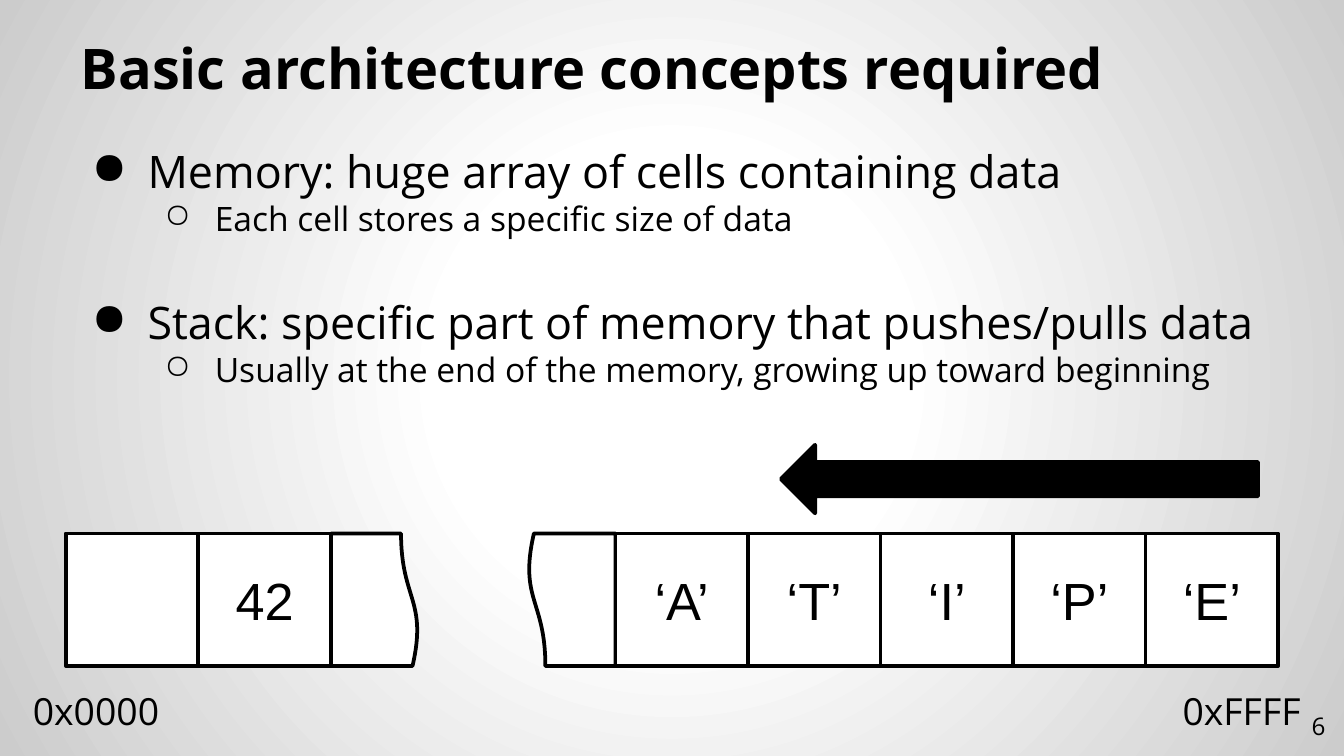
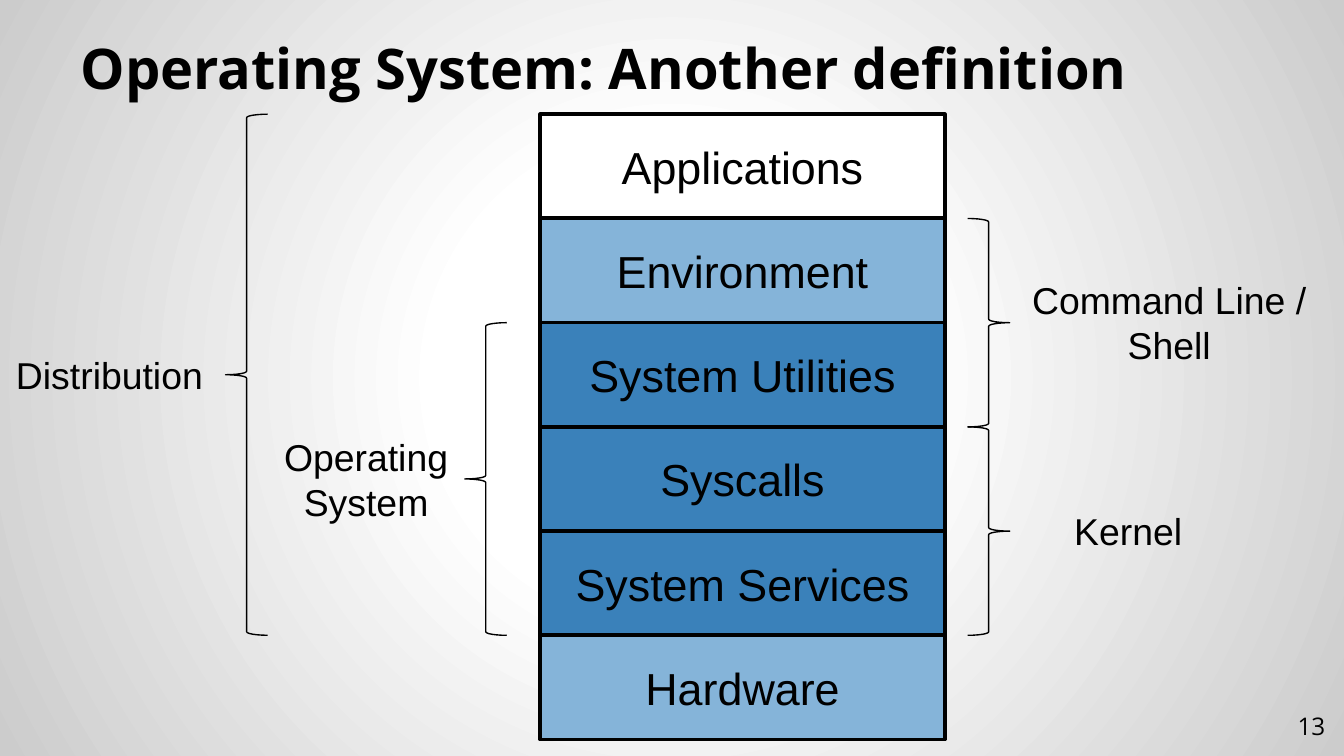
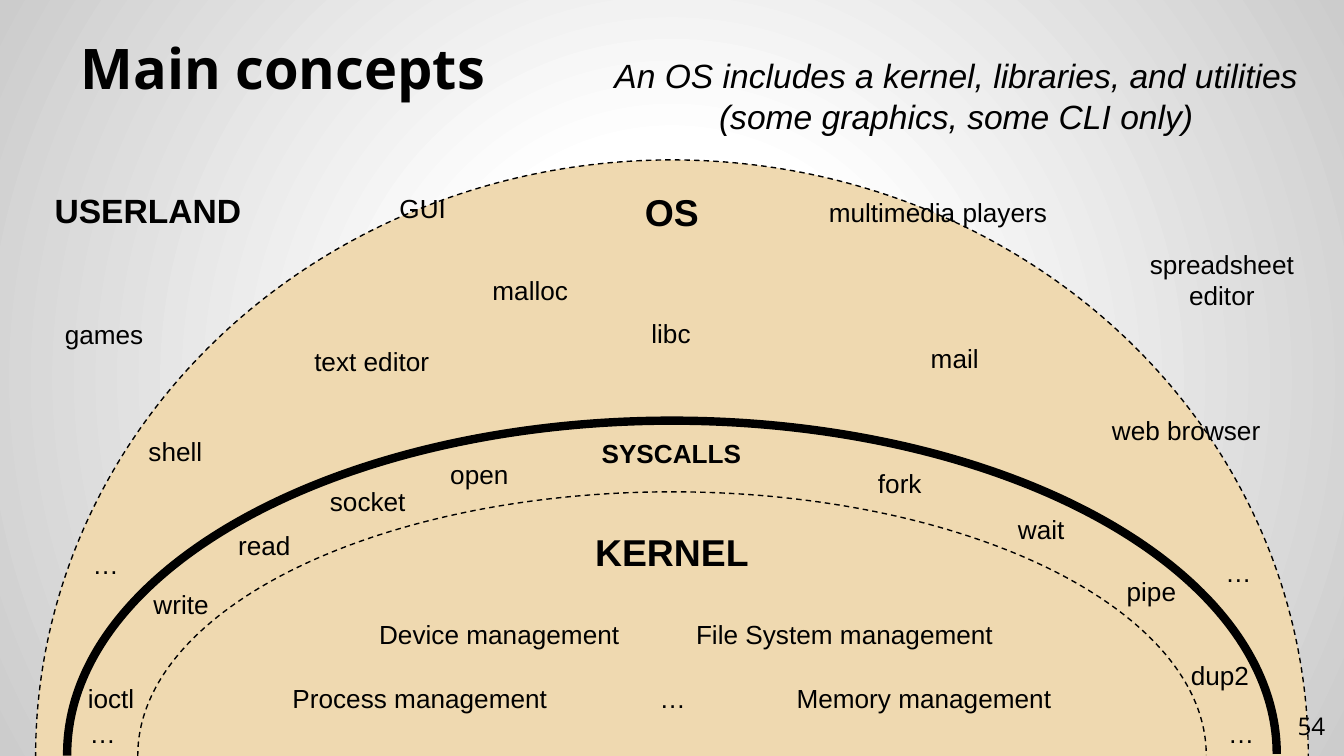
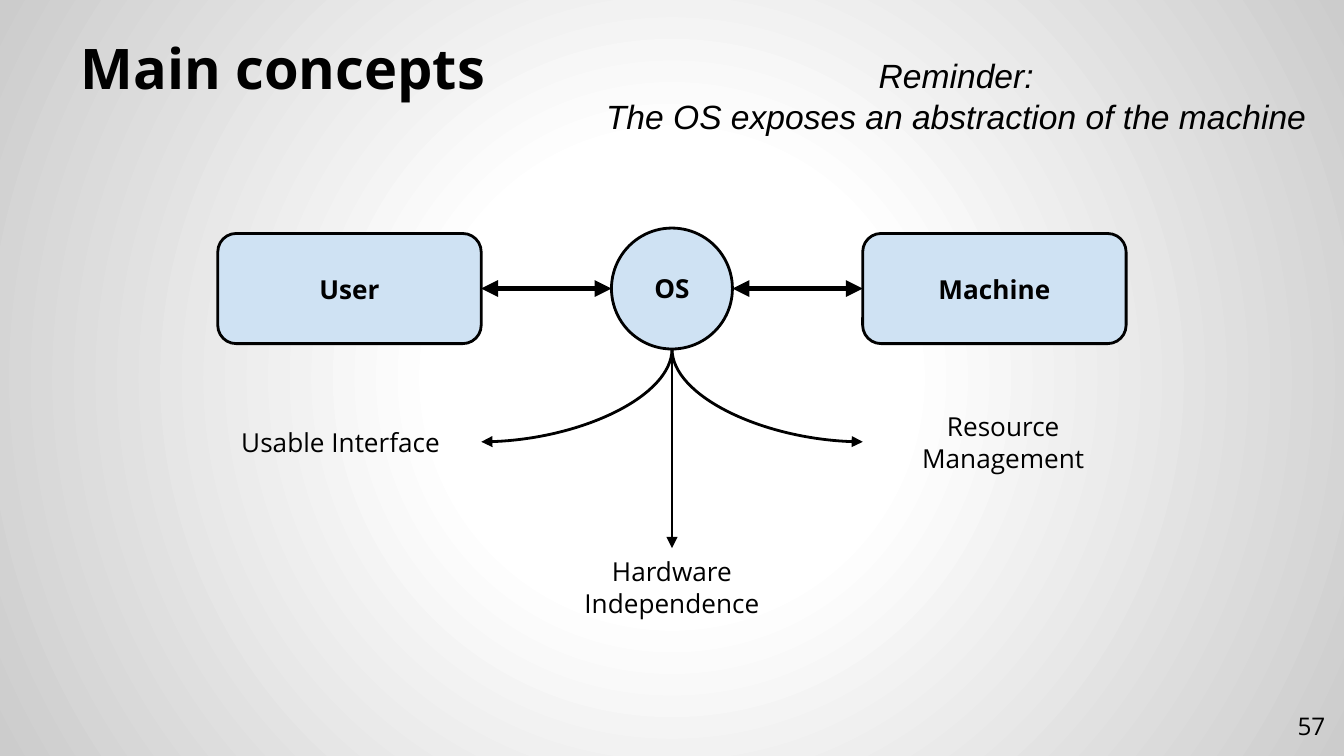
from dataclasses import dataclass

from pptx import Presentation
from pptx import util as u
from pptx.dml.color import RGBColor
from pptx.enum import dml, shapes, text
from pptx.oxml import ns, parse_xml

Pt = u.Pt
KIND = shapes.MSO_SHAPE
LINK = shapes.MSO_CONNECTOR
ALIGN = text.PP_ALIGN
ANCHOR = text.MSO_ANCHOR


@dataclass(frozen=True)
class Theme:
    # Colours
    ink: str = "000000"
    paper: str = "FFFFFF"
    edge: str = "CCCCCC"
    pale: str = "85B4D9"
    deep: str = "3A81BA"
    sand: str = "EFD9B0"
    sky: str = "CFE2F3"
    # Fonts
    sans: str = "Open Sans"
    plain: str = "Arial"
    # Type sizes
    title: float = 30
    cell: float = 28
    lead: float = 24
    label: float = 20
    note: float = 18
    small: float = 14
    page: float = 13
    # Line widths
    hair: float = 0.75
    thin: float = 1.5
    line: float = 2
    bold: float = 3
    wall: float = 4.5


T = Theme()


@dataclass(frozen=True)
class Box:
    x: float
    y: float
    w: float
    h: float

    def sub(self, dx, dy, w, h):
        return Box(self.x + dx, self.y + dy, w, h)

    def turn(self):
        """Frame that fills this box after a quarter turn."""
        return Box(self.x + (self.w - self.h) / 2,
                   self.y + (self.h - self.w) / 2, self.h, self.w)

    def pts(self):
        return [Pt(v) for v in (self.x, self.y, self.w, self.h)]


PAGE = Box(0, 0, 720, 405)


# ---- Shared helpers ----

def write(shape, words, size=T.small, font=T.plain, bold=False, italic=False,
          align=ALIGN.CENTER, anchor=ANCHOR.TOP, pad=3.6):
    """Fill a shape with text, one paragraph per line."""
    frame = shape.text_frame
    frame.word_wrap = True
    frame.auto_size = text.MSO_AUTO_SIZE.NONE
    frame.vertical_anchor = anchor
    frame.margin_left = frame.margin_right = Pt(7.2)
    frame.margin_top = frame.margin_bottom = Pt(pad)
    for i, line in enumerate(words.split("\n")):
        para = frame.paragraphs[0] if i == 0 else frame.add_paragraph()
        para.alignment = align
        run = para.add_run()
        run.text = line
        style(run.font, size, font, bold, italic)
    return shape


def style(face, size, font, bold=False, italic=False):
    face.size, face.name = Pt(size), font
    face.bold, face.italic = bold, italic
    face.color.rgb = RGBColor.from_string(T.ink)


def label(sld, box, words, **fmt):
    return write(sld.shapes.add_textbox(*box.pts()), words, **fmt)


def draw(sld, kind, box, fill=None, width=T.line, turn=0, dash=False):
    shape = sld.shapes.add_shape(kind, *box.pts())
    shape.shadow.inherit = False
    shape.rotation = turn
    if fill:
        shape.fill.solid()
        shape.fill.fore_color.rgb = RGBColor.from_string(fill)
    else:
        shape.fill.background()
    stroke(shape.line, width)
    if dash:
        shape.line.dash_style = dml.MSO_LINE.DASH
    return shape


def stroke(line, width):
    line.width = Pt(width)
    line.fill.solid()
    line.fill.fore_color.rgb = RGBColor.from_string(T.ink)


def link(sld, start, end, width=T.thin, both=False, kind=LINK.STRAIGHT):
    """Connector with an arrowhead at its end, or at both ends."""
    wire = sld.shapes.add_connector(kind, *[Pt(v) for v in (*start, *end)])
    stroke(wire.line, width)
    ln = wire.line._get_or_add_ln()
    for tag in ("headEnd", "tailEnd") if both else ("tailEnd",):
        ln.append(parse_xml(f'<a:{tag} {ns.nsdecls("a")} type="triangle"/>'))
    wire._element.spPr.append(parse_xml(f'<a:effectLst {ns.nsdecls("a")}/>'))
    return wire


def bend(sld, start, end):
    """Curved arrow that leaves downward and arrives sideways."""
    wire = link(sld, start, end, kind=LINK.CURVE)
    (x1, y1), (x2, y2) = start, end
    left = x2 < x1
    box = Box(min(x1, x2), y1, abs(x2 - x1), y2 - y1).turn()
    wire.left, wire.top, wire.width, wire.height = box.pts()
    props = wire._element.spPr
    props.find(ns.qn("a:prstGeom")).set("prst", "curvedConnector2")
    frame = props.find(ns.qn("a:xfrm"))
    frame.set("rot", str((90 if left else 270) * 60000))
    frame.set("flipH", "0" if left else "1")


def backdrop(master):
    """Radial grey background for every slide."""
    master.background.fill.solid()
    holder = master.element.find(".//" + ns.qn("p:bgPr"))
    stops = "".join(
        f'<a:gs pos="{at * 1000}"><a:srgbClr val="{tone}"/></a:gs>'
        for at, tone in ((0, T.paper), (30, T.paper), (100, T.edge)))
    holder.replace(holder[0], parse_xml(
        f'<a:gradFill {ns.nsdecls("a")}><a:gsLst>{stops}</a:gsLst>'
        '<a:path path="circle"><a:fillToRect l="50000" t="50000" r="50000" '
        'b="50000"/></a:path></a:gradFill>'))


def start(prs, title):
    sld = prs.slides.add_slide(prs.slide_layouts[5])
    head = sld.shapes.title
    head.left, head.top, head.width, head.height = Box(36, 16.4, 648, 45).pts()
    write(head, title, size=T.title, font=T.sans, bold=True,
          align=ALIGN.LEFT, anchor=ANCHOR.BOTTOM, pad=7.2)
    return sld


def number(sld, page):
    label(sld, Box(673.9, 373.4, 43.2, 31), str(page), size=T.page,
          font=T.sans, align=ALIGN.RIGHT, anchor=ANCHOR.MIDDLE, pad=7.2)


def remark(sld, words):
    label(sld, Box(317.5, 26, 389.5, 51), words, size=T.note, italic=True)


# ---- Memory and stack ----

def points(sld, box, items):
    """Two-level bullet list: (level, text) pairs."""
    shape = label(sld, box, "\n".join(words for _, words in items),
                  font=T.sans, align=ALIGN.LEFT, pad=7.2)
    looks = ((36, -30, "●", T.lead), (72, -27, "○", T.note))
    for i, (level, _) in enumerate(items):
        para = shape.text_frame.paragraphs[i]
        left, hang, mark, size = looks[level]
        props = para._p.get_or_add_pPr()
        props.set("marL", str(Pt(left)))
        props.set("indent", str(Pt(hang)))
        props.append(parse_xml(
            f'<a:buChar {ns.nsdecls("a")} char="{mark}"/>'))
        para.level = level
        para.runs[0].font.size = Pt(size)
        if i and level == 0:
            para.space_before = Pt(30.5)


def memory(sld, box):
    """Row of cells torn in the middle, with addresses and growth arrow."""
    side, tear = box.h, 46.8
    low, high = ("", "42"), ("‘A’", "‘T’", "‘I’", "‘P’", "‘E’")
    right = box.w - len(high) * side
    # Torn ends
    for dx, turn in ((len(low) * side, 270), (right - tear, 90)):
        draw(sld, KIND.FLOWCHART_DOCUMENT, box.sub(dx, 0, tear, side).turn(),
             T.paper, turn=turn)
    # Whole cells
    for first, row in ((0, low), (right, high)):
        for i, words in enumerate(row):
            cell = draw(sld, KIND.RECTANGLE,
                        box.sub(first + i * side, 0, side, side), T.paper)
            if words:
                write(cell, words, size=T.cell, anchor=ANCHOR.MIDDLE)
    # Addresses
    for dx, words in ((-35.3, "0x0000"), (box.w - side, "0xFFFF")):
        label(sld, box.sub(dx, 79.2, 103, 31.5), words, size=T.label,
              font=T.sans)
    # Growth of the stack
    draw(sld, KIND.RIGHT_ARROW, box.sub(383, -47.5, 255.6, 36.7), T.ink,
         turn=180)


# ---- System layers ----

def layers(sld, box):
    rows = (("Applications", T.paper), ("Environment", T.pale),
            ("System Utilities", T.deep), ("Syscalls", T.deep),
            ("System Services", T.deep), ("Hardware", T.pale))
    step = box.h / len(rows)
    for i, (words, fill) in enumerate(rows):
        bar = draw(sld, KIND.RECTANGLE, box.sub(0, i * step, box.w, step), fill)
        write(bar, words, size=T.lead, anchor=ANCHOR.MIDDLE)
    # Braces: text, first row, end row, brace x, turn, text x, width, height
    spans = (("Distribution", 0, 5, -168.5, 0, -288.7, 116, 31.5),
             ("Operating System", 2, 5, -40.4, 0, -151.2, 116, 55.4),
             ("Command Line / Shell", 1, 3, 229, 180, 252, 170, 55.4),
             ("Kernel", 3, 5, 229, 180, 264.3, 101.5, 31.5))
    for words, top, end, dx, turn, tx, wide, high in spans:
        draw(sld, KIND.LEFT_BRACE,
             box.sub(dx, top * step, 22.5, (end - top) * step),
             width=T.hair, turn=turn)
        mid = (top + end) * step / 2
        label(sld, box.sub(tx, mid - high / 2, wide, high), words,
              size=T.label)


# ---- Userland, syscalls and kernel ----

def dome(sld, box):
    # Half rings around the middle of the bottom edge
    rings = ((681.8, 638.6, 85.7, T.sand, T.hair, True),
             (572.4, 282.2, 263.5, None, T.hair, True),
             (648, 357.1, 225.4, None, T.wall, False))
    for wide, high, top, fill, width, dash in rings:
        arc = draw(sld, KIND.ARC,
                   box.sub((box.w - wide) / 2, top, wide, high), fill, width,
                   dash=dash)
        arc.adjustments[0], arc.adjustments[1] = 107.91, 0
    # Zone names: text, x, y, width, size
    zones = (("USERLAND", 0.7, 98, 157, T.note), ("OS", 267.5, 98, 185, T.label),
             ("SYSCALLS", 272.5, 231, 174.5, T.small),
             ("KERNEL", 267.5, 280, 185, T.label))
    for words, dx, dy, wide, size in zones:
        label(sld, box.sub(dx, dy, wide, size * 1.2 + 7.5), words, size=size,
              bold=True)
    # Terms by box width: text, x, y
    terms = {
        185: (("Process management", 132.5, 362),
              ("Memory management", 402.5, 362),
              ("File System management", 360, 328),
              ("Device management", 175, 328)),
        137: (("multimedia players", 434, 101.5),),
        119: (("shell", 34.5, 229.7), ("GUI", 167, 99.4),
              ("libc", 300, 166.3), ("mail", 452, 180),
              ("text editor", 139.7, 181.4), ("web browser", 576, 218.2),
              ("malloc", 224.6, 143.3)),
        104: (("spreadsheet editor", 602.6, 129.6),),
        77: (("games", 17.3, 167),),
        60: (("open", 226.8, 242), ("socket", 167, 256.3),
             ("read", 111.6, 280), ("write", 67, 311.8),
             ("ioctl", 29.5, 362), ("fork", 452, 247),
             ("wait", 527.8, 271.4), ("pipe", 586.8, 304.6),
             ("dup2", 623.5, 350)),
        44: (("…", 338.4, 362), ("…", 33, 381), ("…", 643, 381),
             ("…", 34.6, 290.2), ("…", 641.5, 294.5)),
    }
    for wide, group in terms.items():
        for words, dx, dy in group:
            high = 41 if words == "spreadsheet editor" else 24.5
            label(sld, box.sub(dx, dy, wide, high), words)


# ---- The OS between user and machine ----

def hub(sld, box):
    wide, high, disc = 141.1, 59, 64.8
    mid, gap = box.w / 2, (disc - high) / 2
    fmt = dict(font=T.sans, anchor=ANCHOR.MIDDLE, pad=7.2)
    # Nodes
    nodes = [("User", KIND.ROUNDED_RECTANGLE, 0, gap, wide, high),
             ("OS", KIND.OVAL, mid - disc / 2, 0, disc, disc),
             ("Machine", KIND.ROUNDED_RECTANGLE, box.w - wide, gap, wide, high)]
    user, _, host = [
        write(draw(sld, kind, box.sub(*spot), T.sky, T.thin), words,
              bold=True, **fmt)
        for words, kind, *spot in nodes]
    # Two-way links
    cx, cy = box.x + mid, box.y + disc / 2
    left, right = box.x + wide, box.x + box.w - wide
    link(sld, (left, cy), (cx - disc / 2, cy), T.bold,
         both=True).begin_connect(user, 3)
    link(sld, (cx + disc / 2, cy), (right, cy), T.bold,
         both=True).end_connect(host, 1)
    # Roles
    tw, th, dy, low = 150.5, 41.8, 93.6, 171.4
    for words, dx, top in (("Usable Interface", wide - tw, dy),
                           ("Hardware Independence", mid - tw / 2, low),
                           ("Resource Management", box.w - wide, dy)):
        label(sld, box.sub(dx, top, tw, th), words, **fmt)
    # Arrows to the roles
    foot = (cx, box.y + disc)
    for x in (left, right):
        bend(sld, foot, (x, box.y + dy + th / 2))
    link(sld, foot, (cx, box.y + low))


def main():
    prs = Presentation()
    prs.slide_width, prs.slide_height = Pt(PAGE.w), Pt(PAGE.h)
    backdrop(prs.slide_master)

    sld = start(prs, "Basic architecture concepts required")
    points(sld, Box(36, 69.8, 648, 317.5), (
        (0, "Memory: huge array of cells containing data"),
        (1, "Each cell stores a specific size of data"),
        (0, "Stack: specific part of memory that pushes/pulls data"),
        (1, "Usually at the end of the memory, growing up toward beginning")))
    memory(sld, Box(35.3, 285.8, 649.4, 71))
    number(sld, 6)

    sld = start(prs, "Operating System: Another definition")
    layers(sld, Box(289.4, 61.2, 216.7, 335))
    number(sld, 13)

    sld = start(prs, "Main concepts")
    dome(sld, PAGE)
    remark(sld, "An OS includes a kernel, libraries, and utilities\n"
                "(some graphics, some CLI only)")
    number(sld, 54)

    sld = start(prs, "Main concepts")
    hub(sld, Box(116.7, 122.2, 486.6, 213.2))
    remark(sld, "Reminder:\nThe OS exposes an abstraction of the machine")
    number(sld, 57)

    prs.save("out.pptx")


if __name__ == "__main__":
    main()
